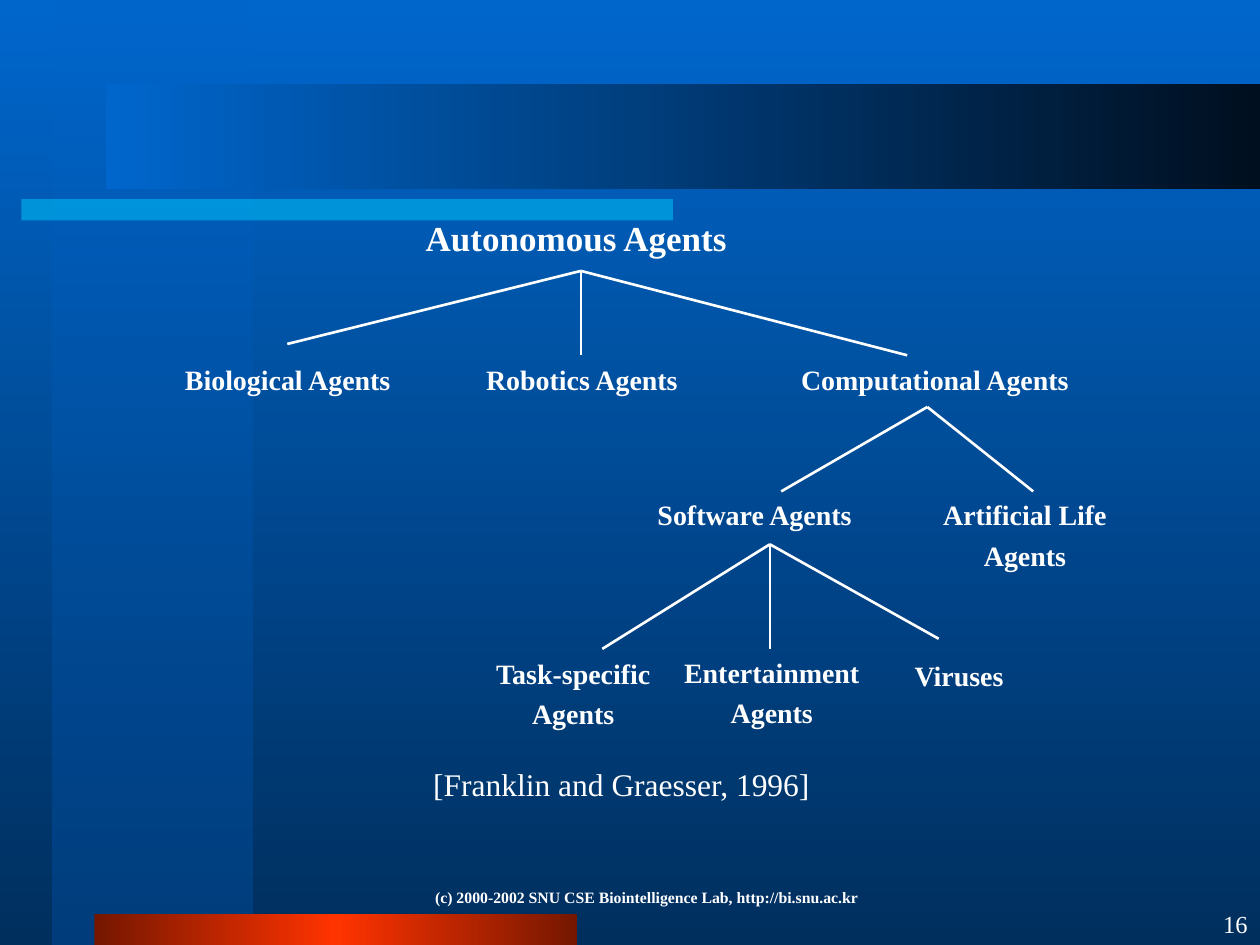
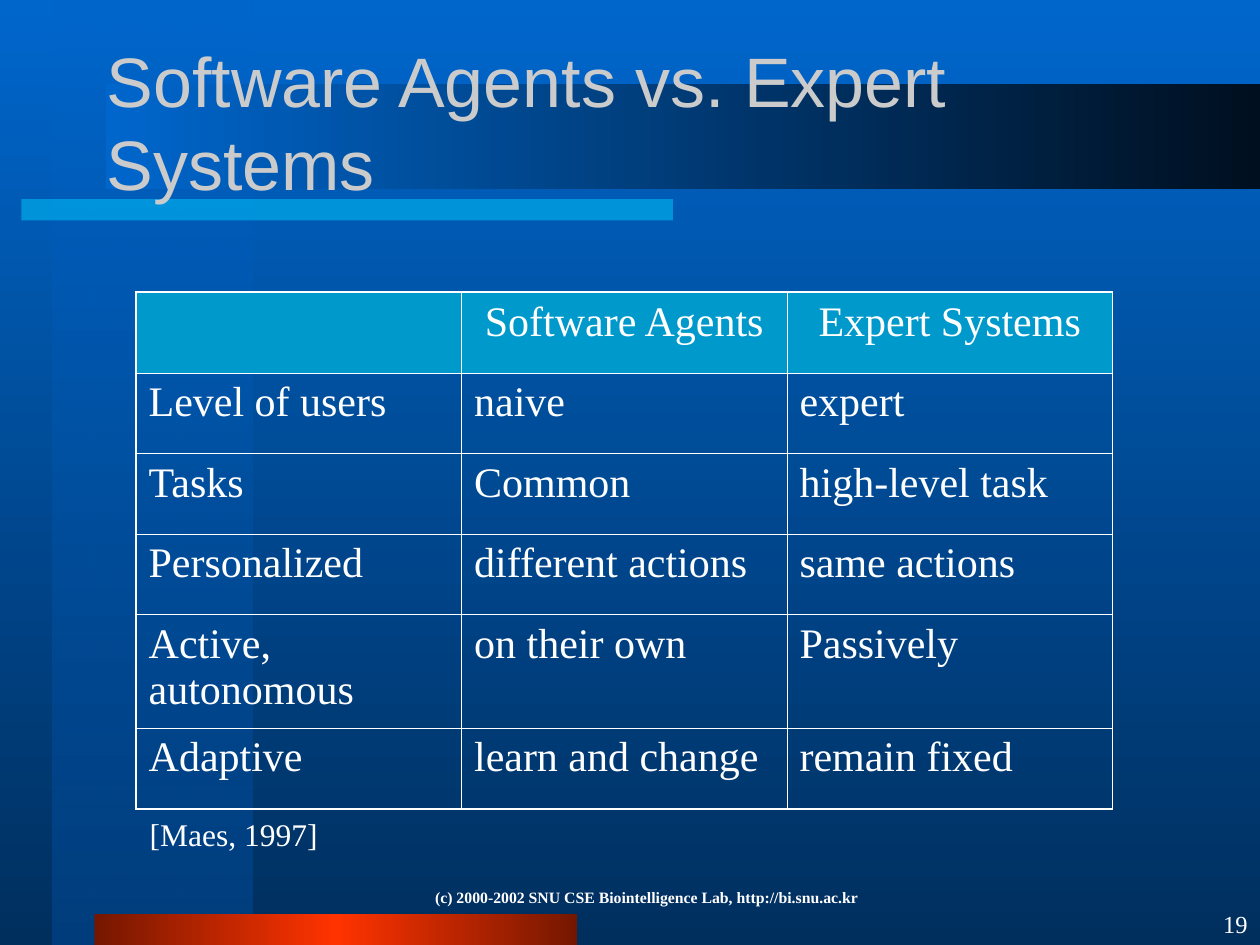
from lxml import etree
from pptx import Presentation, util as u
from pptx.dml.color import RGBColor
from pptx.enum import shapes, text
from pptx.oxml.ns import qn

PX = 9144  # 100 px to the inch
WHITE = "FFFFFF"
SERIF = "Times New Roman"
LEFT, MID, RIGHT = text.PP_ALIGN.LEFT, text.PP_ALIGN.CENTER, text.PP_ALIGN.RIGHT
DOWN, BACK = 270, 180  # gradient angles, counter-clockwise


def paint(fill, *hues, angle=DOWN):
    """Fill with one colour, or with a gradient of evenly spaced colours."""
    if len(hues) == 1:
        fill.solid()
        fill.fore_color.rgb = RGBColor.from_string(hues[0])
        return
    fill.gradient()
    fill.gradient_angle = angle
    stops = fill.gradient_stops[0]._gs.getparent()
    stops.clear()
    for i, hue in enumerate(hues):
        stop = etree.SubElement(stops, qn("a:gs"), pos=str(100000 * i // (len(hues) - 1)))
        etree.SubElement(stop, qn("a:srgbClr"), val=hue)


def write(frame, words, size, bold=False, align=LEFT, hue=WHITE, face=SERIF):
    """Put each line of words in its own paragraph."""
    for i, line in enumerate(words.split("\n")):
        par = frame.add_paragraph() if i else frame.paragraphs[0]
        par.alignment = align
        if i:
            par.space_before = u.Pt(4)
        run = par.add_run()
        run.text = line
        run.font.size, run.font.bold, run.font.name = u.Pt(size), bold, face
        paint(run.font.fill, hue)


prs = Presentation()
prs.slide_width, prs.slide_height = 1000 * PX, 750 * PX
paint(prs.slide_master.background.fill, "0066CC", "002F5E")

# Shared bands and footers: box, colours, angle, clear start
bands = [
    ((42, 0, 158, 750), ("0066CC", "003E7D"), DOWN, True),
    ((17, 158, 517, 17), ("00CCFF",), DOWN, True),
    ((75, 725, 383, 25), ("751700", "FF3300", "751700"), BACK, False),
    ((84, 67, 916, 83), ("000F1F", "0066CC"), BACK, False),
]
credit = "(c) 2000-2002 SNU CSE Biointelligence Lab, http://bi.snu.ac.kr"

pages = []
for number in (16, 19):
    page = prs.slides.add_slide(prs.slide_layouts[6])
    pages.append(page)
    for box, hues, angle, clear in bands:
        band = page.shapes.add_shape(shapes.MSO_SHAPE.RECTANGLE, *[n * PX for n in box])
        band.shadow.inherit = False
        band.line.fill.background()
        paint(band.fill, *hues, angle=angle)
        if clear:
            first = band._element.spPr.find(".//" + qn("a:srgbClr"))
            etree.SubElement(first, qn("a:alpha"), val="50000")

    foot = page.shapes.add_textbox(292 * PX, 700 * PX, 442 * PX, 25 * PX).text_frame
    foot.word_wrap = True
    write(foot, credit, 9, True, MID)
    count = page.shapes.add_textbox(825 * PX, 717 * PX, 175 * PX, 33 * PX).text_frame
    count.word_wrap = True
    count.vertical_anchor = text.MSO_ANCHOR.MIDDLE
    write(count, str(number), 14, align=RIGHT)

tree, versus = pages

# Labels of both slides: page, box, words, size, bold, alignment
labels = [
    (tree, (328, 167, 260, 44), "Autonomous Agents", 20, True, LEFT),
    (tree, (137, 283, 184, 37), "Biological Agents", 16, True, LEFT),
    (tree, (376, 283, 173, 37), "Robotics Agents", 16, True, LEFT),
    (tree, (626, 283, 233, 37), "Computational Agents", 16, True, LEFT),
    (tree, (512, 390, 176, 37), "Software Agents", 16, True, LEFT),
    (tree, (736, 390, 155, 69), "Artificial Life\nAgents", 16, True, MID),
    (tree, (383, 516, 144, 69), "Task-specific\nAgents", 16, True, MID),
    (tree, (533, 515, 159, 69), "Entertainment\nAgents", 16, True, MID),
    (tree, (716, 518, 91, 37), "Viruses", 16, True, LEFT),
    (tree, (334, 602, 320, 40), "[Franklin and Graesser, 1996]", 18, False, LEFT),
    (versus, (109, 642, 153, 40), "[Maes, 1997]", 18, False, LEFT),
]
for page, box, words, size, bold, align in labels:
    frame = page.shapes.add_textbox(*[n * PX for n in box]).text_frame
    frame.word_wrap = False
    frame.auto_size = text.MSO_AUTO_SIZE.SHAPE_TO_FIT_TEXT
    write(frame, words, size, bold, align)

# Branches: each fork and the tips it leads to
forks = {
    (461, 215): [(228, 273), (461, 282), (720, 282)],
    (736, 323): [(620, 390), (820, 390)],
    (611, 432): [(478, 515), (611, 515), (745, 507)],
}
for fork, tips in forks.items():
    for tip in tips:
        ends = [n * PX for n in fork + tip]
        branch = tree.shapes.add_connector(shapes.MSO_CONNECTOR.STRAIGHT, *ends)
        paint(branch.line.fill, WHITE)
        branch.line.width = u.Pt(1.5)
        etree.SubElement(branch._element.spPr, qn("a:effectLst"))

# Comparison slide
title = versus.shapes.add_textbox(75 * PX, 50 * PX, 850 * PX, 92 * PX).text_frame
title.word_wrap = True
title.vertical_anchor = text.MSO_ANCHOR.MIDDLE
write(title, "Software Agents vs. Expert Systems", 40, hue="CBCBCB", face="Arial")

rows = [
    ("", "Software Agents", "Expert Systems"),
    ("Level of users", "naive", "expert"),
    ("Tasks", "Common", "high-level task"),
    ("Personalized", "different actions", "same actions"),
    ("Active, autonomous", "on their own", "Passively"),
    ("Adaptive", "learn and change", "remain fixed"),
]
tall = [64, 64, 64, 64, 90, 64]
grid = versus.shapes.add_table(6, 3, 108 * PX, 232 * PX, 775 * PX, sum(tall) * PX).table
grid.first_row = grid.horz_banding = False
for col in grid.columns:
    col.width = 775 * PX // 3
for r, row in enumerate(rows):
    grid.rows[r].height = tall[r] * PX
    for c, words in enumerate(row):
        cell = grid.cell(r, c)
        outer = {"lnL": c == 0, "lnR": c == 2, "lnT": r == 0, "lnB": r == 5}
        for side, edge in outer.items():
            width = u.Pt(1.08 if edge else 0.45)
            line = etree.SubElement(cell._tc.get_or_add_tcPr(), qn("a:" + side), w=str(width))
            ink = etree.SubElement(line, qn("a:solidFill"))
            etree.SubElement(ink, qn("a:srgbClr"), val=WHITE)
        if r == 0:
            paint(cell.fill, "0099CC")
        else:
            cell.fill.background()
        if words:
            write(cell.text_frame, words, 24, align=LEFT if r else MID)

prs.save("out.pptx")
